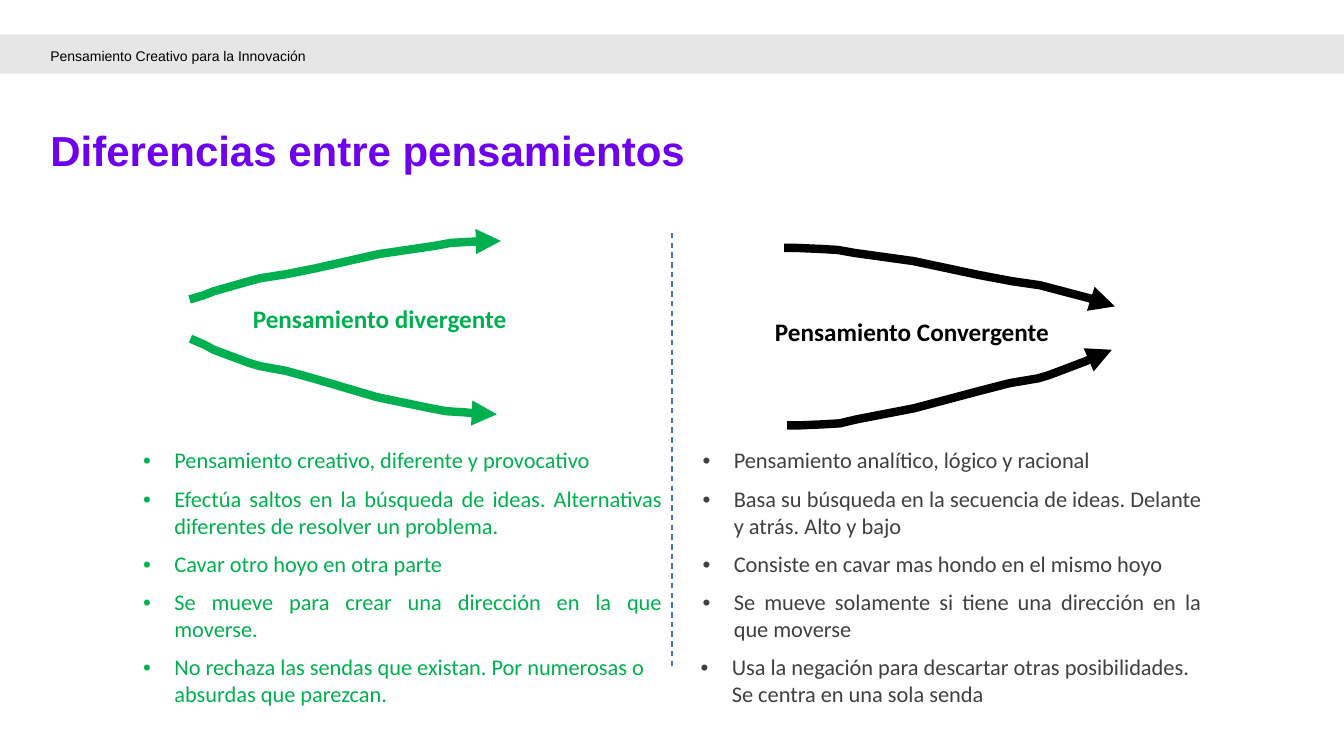
import dataclasses

import lxml.etree
import pptx
import pptx.dml.color
import pptx.enum.dml
import pptx.enum.shapes
import pptx.enum.text
import pptx.oxml.ns
import pptx.util

ALIGN = pptx.enum.text.PP_ALIGN
ANCHOR = pptx.enum.text.MSO_ANCHOR
qn = pptx.oxml.ns.qn


@dataclasses.dataclass(frozen=True)
class Theme:
    bar: str = "E7E6E6"
    title: str = "6E00ED"
    divergent: str = "00B050"
    convergent: str = "000000"
    body: str = "404040"
    paper: str = "FFFFFF"
    divider: str = "4472C4"
    heading_font: str = "Arial"
    body_font: str = "Calibri"
    header_size: int = 10
    title_size: int = 30
    label_size: int = 18
    body_size: int = 16


THEME = Theme()
WIDTH, HEIGHT = pptx.util.Inches(13.33), pptx.util.Inches(7.5)
COLUMNS, ROWS = 40, 22.5

IDEAS = [
    ("Pensamiento creativo, diferente y provocativo",
     "Pensamiento analítico, lógico y racional"),
    ("Efectúa saltos en la búsqueda de ideas. Alternativas diferentes de resolver un problema.",
     "Basa su búsqueda en la secuencia de ideas. Delante y atrás. Alto y bajo"),
    ("Cavar otro hoyo en otra parte",
     "Consiste en cavar mas hondo en el mismo hoyo"),
    ("Se mueve para crear una dirección en la que moverse.",
     "Se mueve solamente si tiene una dirección en la que moverse"),
    ("No rechaza las sendas que existan. Por numerosas o absurdas que parezcan.",
     "Usa la negación para descartar otras posibilidades. Se centra en una sola senda"),
]
ROW_HEIGHTS = [1.14, 1.8, 1.14, 1.8, 2.55]

DIVERGENT_ARROWS = [
    [(5.64, 8.91), (6.06, 8.79), (6.36, 8.67), (7.41, 8.37), (7.75, 8.28),
     (8.52, 8.16), (9.42, 7.98), (11.28, 7.56), (12.93, 7.32), (13.41, 7.23),
     (13.92, 7.2), (14.55, 7.17), (14.91, 7.17)],
    [(5.67, 10.08), (6.09, 10.26), (6.36, 10.41), (7.41, 10.8), (7.75, 10.9),
     (8.52, 11.04), (9.39, 11.28), (11.22, 11.82), (12.81, 12.15), (13.29, 12.24),
     (13.8, 12.27), (14.43, 12.33), (14.79, 12.33)],
]
CONVERGENT_ARROWS = [
    [(23.34, 7.38), (23.73, 7.38), (24.42, 7.41), (24.93, 7.44), (25.44, 7.53),
     (27.18, 7.77), (29.16, 8.19), (30.12, 8.37), (30.95, 8.49), (31.29, 8.58),
     (32.43, 8.88), (32.73, 9), (33.18, 9.12)],
    [(23.43, 12.66), (23.79, 12.66), (24.48, 12.63), (24.99, 12.6), (25.5, 12.48),
     (27.21, 12.15), (29.13, 11.64), (30.06, 11.4), (30.9, 11.26), (31.23, 11.16),
     (32.34, 10.74), (32.64, 10.59), (33.09, 10.41)],
]


def col(n):
    return round(WIDTH * n / COLUMNS)


def row(n):
    return round(HEIGHT * n / ROWS)


def rgb(color):
    return pptx.dml.color.RGBColor.from_string(color)


def write(tf, text, font, size, color, bold=False, align=None, spacing=None, indent=None):
    p = tf.paragraphs[0]
    if indent is not None:
        pPr = p._p.get_or_add_pPr()
        pPr.set("marL", str(pptx.util.Inches(indent)))
        pPr.set("indent", str(pptx.util.Inches(-0.31)))
        lxml.etree.SubElement(pPr, qn("a:buFont"), typeface="Arial")
        lxml.etree.SubElement(pPr, qn("a:buChar"), char="•")
    p.alignment = align
    p.line_spacing = spacing
    r = p.add_run()
    r.text = text
    r.font.name = font
    r.font.size = pptx.util.Pt(size)
    r.font.bold = bold
    r.font.color.rgb = rgb(color)


def add_heading(s, x, y, w, h, text, anchor=ANCHOR.TOP, **style):
    tf = s.shapes.add_textbox(col(x), row(y), col(w), row(h)).text_frame
    tf.word_wrap = True
    tf.vertical_anchor = anchor
    tf.margin_left = tf.margin_right = tf.margin_top = tf.margin_bottom = 0
    write(tf, text, THEME.heading_font, **style)


def add_label(s, x, y, w, text, color):
    tf = s.shapes.add_textbox(col(x), row(y), col(w), row(1.2)).text_frame
    tf.word_wrap = False
    tf.auto_size = pptx.enum.text.MSO_AUTO_SIZE.SHAPE_TO_FIT_TEXT
    write(tf, text, THEME.body_font, THEME.label_size, color, bold=True)


def add_bar(s):
    sp = s.shapes.add_shape(pptx.enum.shapes.MSO_SHAPE.RECTANGLE, 0, row(1.02), WIDTH, row(1.17))
    sp.shadow.inherit = False
    sp.fill.solid()
    sp.fill.fore_color.rgb = rgb(THEME.bar)
    sp.line.fill.background()


def add_ideas(s):
    frame = s.shapes.add_table(len(IDEAS), 2, col(3.96), row(13.17), col(32.1), row(sum(ROW_HEIGHTS)))
    table = frame.table
    table.first_row = table.horz_banding = False
    for i, (pair, height) in enumerate(zip(IDEAS, ROW_HEIGHTS)):
        table.rows[i].height = row(height)
        last = i == len(IDEAS) - 1
        align = ALIGN.LEFT if last else ALIGN.JUSTIFY
        styles = [(THEME.divergent, 0.31), (THEME.body, 0.49 if last else 0.51)]
        for j, (text, (color, indent)) in enumerate(zip(pair, styles)):
            cell = table.cell(i, j)
            cell.fill.solid()
            cell.fill.fore_color.rgb = rgb(THEME.paper)
            write(cell.text_frame, text, THEME.body_font, THEME.body_size, color,
                  align=align, indent=indent)


def add_arrow(s, points, color):
    start, *rest = [(col(x), row(y)) for x, y in points]
    builder = s.shapes.build_freeform(*start)
    builder.add_line_segments(rest, close=False)
    sp = builder.convert_to_shape()
    sp.shadow.inherit = False
    sp.fill.background()
    sp.line.color.rgb = rgb(color)
    sp.line.width = pptx.util.Pt(6)
    ln = sp.line._get_or_add_ln()
    lxml.etree.SubElement(ln, qn("a:round"))
    lxml.etree.SubElement(ln, qn("a:tailEnd"), type="triangle")


def add_divider(s):
    line = s.shapes.add_connector(pptx.enum.shapes.MSO_CONNECTOR.STRAIGHT,
                                  col(20), row(6.93), col(20), row(19.95))
    line.line.color.rgb = rgb(THEME.divider)
    line.line.width = pptx.util.Pt(1)
    line.line.dash_style = pptx.enum.dml.MSO_LINE.DASH
    lxml.etree.SubElement(line._element.spPr, qn("a:effectLst"))


def main():
    prs = pptx.Presentation()
    prs.slide_width, prs.slide_height = WIDTH, HEIGHT
    s = prs.slides.add_slide(prs.slide_layouts[6])
    add_bar(s)
    add_ideas(s)
    add_heading(s, 1.5, 3.9, 29.46, 1.56, "Diferencias entre pensamientos", anchor=ANCHOR.MIDDLE,
                size=THEME.title_size, color=THEME.title, bold=True, spacing=0.6)
    add_heading(s, 1.5, 1.17, 12.3, 0.96, "Pensamiento Creativo para la Innovación",
                size=THEME.header_size, color=THEME.convergent, spacing=1.5)
    add_label(s, 7.23, 8.88, 8.19, "Pensamiento divergente", THEME.divergent)
    add_label(s, 22.77, 9.27, 8.82, "Pensamiento Convergente", THEME.convergent)
    for points in DIVERGENT_ARROWS:
        add_arrow(s, points, THEME.divergent)
    for points in CONVERGENT_ARROWS:
        add_arrow(s, points, THEME.convergent)
    add_divider(s)
    prs.save("out.pptx")


if __name__ == "__main__":
    main()
